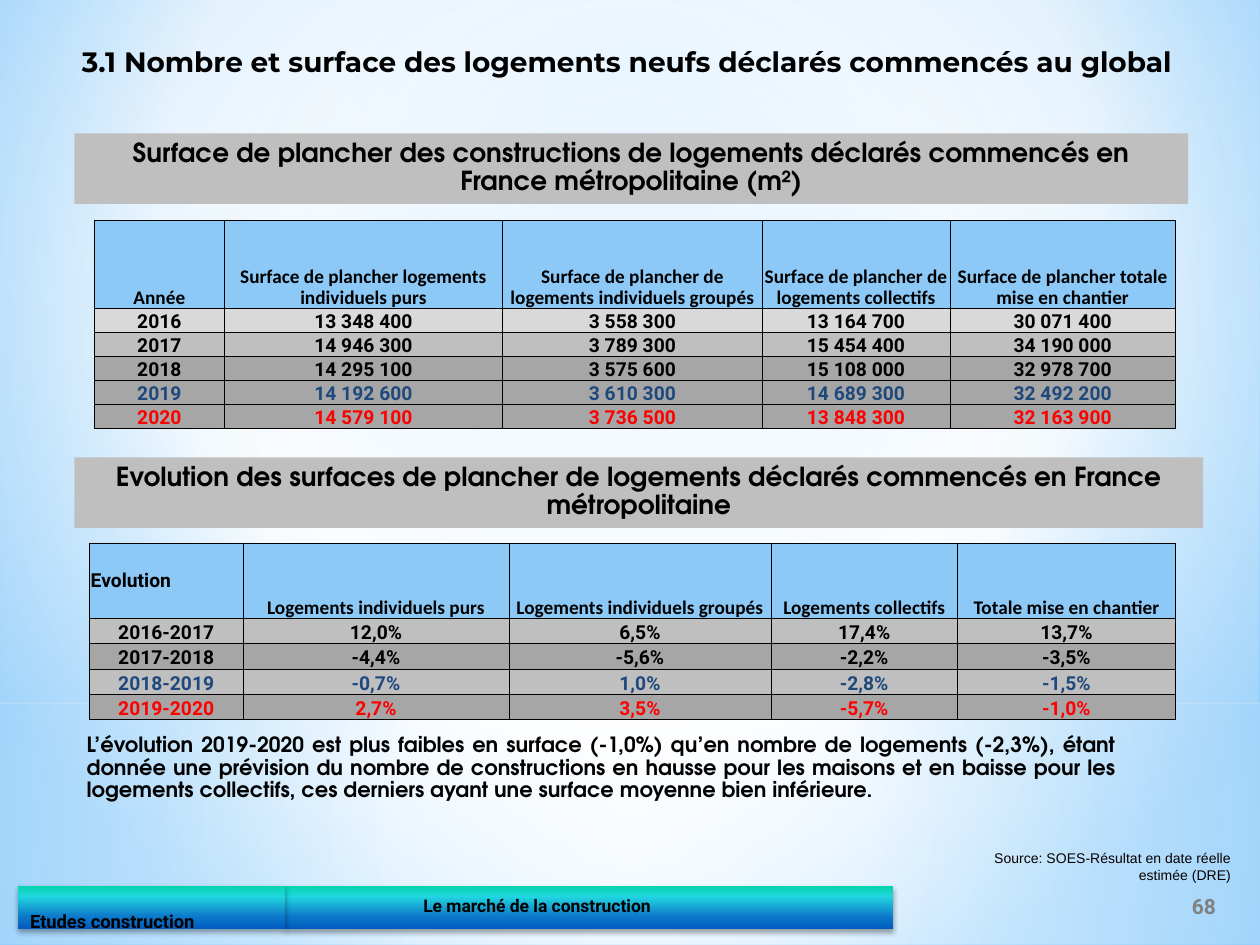
from lxml.etree import SubElement
from pptx import Presentation
from pptx.dml.color import RGBColor
from pptx.enum.shapes import MSO_SHAPE
from pptx.enum.text import MSO_ANCHOR, PP_ALIGN
from pptx.oxml import parse_xml
from pptx.oxml.ns import nsdecls, qn
from pptx.util import Inches, Pt

BLACK = RGBColor(0, 0, 0)
BLUE = RGBColor(0x1F, 0x49, 0x7D)
RED = RGBColor(0xFF, 0, 0)
GREY = RGBColor(0x80, 0x80, 0x80)
SOURCE_BLACK = RGBColor(0x08, 0, 0)
HEADER_FILL = RGBColor(0x8C, 0xC9, 0xF7)
LIGHT = RGBColor(0xD9, 0xD9, 0xD9)
MEDIUM = RGBColor(0xBF, 0xBF, 0xBF)
DARK = RGBColor(0xA6, 0xA6, 0xA6)
HEADING_FONT = "TeX Gyre Adventor"

TITLE = "3.1 Nombre et surface des logements neufs déclarés commencés au global"
BANDS = [
    ("Surface de plancher des constructions de logements déclarés commencés en "
     "France métropolitaine (m²)", 1.06, 8.84),
    ("Evolution des surfaces de plancher de logements déclarés commencés en "
     "France métropolitaine", 3.63, 8.96),
]
COMMENT = (
    "L’évolution 2019-2020 est plus faibles en surface (-1,0%) qu’en nombre de logements "
    "(-2,3%), étant donnée une prévision du nombre de constructions en hausse pour les "
    "maisons et en baisse pour les logements collectifs, ces derniers ayant une surface "
    "moyenne bien inférieure.")
SOURCE = "Source: SOES-Résultat en date réelle estimée (DRE)"
SLIDE_NUMBER = "68"

SURFACES = {
    "place": (0.75, 1.75),
    "columns": [1.03, 2.21, 2.06, 1.49, 1.79],
    "heights": (0.7, 0.19),
    "header": ["Année", "Surface de plancher logements individuels purs",
               "Surface de plancher de logements individuels groupés",
               "Surface de plancher de logements collectifs",
               "Surface de plancher totale mise en chantier"],
    "rows": [
        (["2016", "13 348 400", "3 558 300", "13 164 700", "30 071 400"], LIGHT, BLACK),
        (["2017", "14 946 300", "3 789 300", "15 454 400", "34 190 000"], MEDIUM, BLACK),
        (["2018", "14 295 100", "3 575 600", "15 108 000", "32 978 700"], DARK, BLACK),
        (["2019", "14 192 600", "3 610 300", "14 689 300", "32 492 200"], DARK, BLUE),
        (["2020", "14 579 100", "3 736 500", "13 848 300", "32 163 900"], DARK, RED),
    ],
}
EVOLUTION = {
    "place": (0.71, 4.31),
    "columns": [1.22, 2.11, 2.08, 1.48, 1.73],
    "heights": (0.6, 0.2),
    "header": ["Evolution", "Logements individuels purs", "Logements individuels groupés",
               "Logements collectifs", "Totale mise en chantier"],
    "rows": [
        (["2016-2017", "12,0%", "6,5%", "17,4%", "13,7%"], MEDIUM, BLACK),
        (["2017-2018", "-4,4%", "-5,6%", "-2,2%", "-3,5%"], DARK, BLACK),
        (["2018-2019", "-0,7%", "1,0%", "-2,8%", "-1,5%"], MEDIUM, BLUE),
        (["2019-2020", "2,7%", "3,5%", "-5,7%", "-1,0%"], DARK, RED),
    ],
}

# Gradient stops: position in %, colour, opacity in %
BACKGROUND_STOPS = [(0, "9ED5FF", 100), (60, "FFFFFF", 100), (100, "5BB9FF", 100)]
VEILS = [
    (5.58, 1.92, [(0, "FFFFFF", 91), (37, "FFFFFF", 76), (100, "B4DCFA", 79)]),
    (0, 5.58, [(0, "FFFFFF", 89), (48, "FFFFFF", 62), (100, "B4DCFA", 79)]),
]
FOOTER_STOPS = [(0, "03D4A8", 100), (25, "21D6E0", 100), (72, "0D79CA", 100),
                (100, "005CBF", 100)]
# Footer parts: text, left, width, size, left inset, top inset
FOOTERS = [
    ("Le marché de la construction", 2.26, 4.83, 10, 1.1, 0),
    ("Etudes construction", 0.14, 2.12, 10.5, 0.1, 0.24),
]


def apply_gradient(element, stops, center=None):
    """Swap the solid fill for a circular gradient, or a vertical one without center."""
    stop_xml = "".join(
        f'<a:gs pos="{position * 1000}"><a:srgbClr val="{color}">'
        f'<a:alpha val="{opacity * 1000}"/></a:srgbClr></a:gs>'
        for position, color, opacity in stops)
    if center:
        sides = " ".join(f'{side}="{value * 1000}"' for side, value in zip("ltrb", center))
        direction = f'<a:path path="circle"><a:fillToRect {sides}/></a:path>'
    else:
        direction = '<a:lin ang="5400000" scaled="0"/>'
    gradient = parse_xml(f'<a:gradFill {nsdecls("a")} rotWithShape="1">'
                         f'<a:gsLst>{stop_xml}</a:gsLst>{direction}</a:gradFill>')
    solid = element.find(".//" + qn("a:solidFill"))
    solid.getparent().replace(solid, gradient)


def add_shadow(shape):
    effects = shape.element.spPr.find(qn("a:effectLst"))
    effects.append(parse_xml(
        f'<a:outerShdw {nsdecls("a")} blurRad="{Pt(3.1)}" dist="{Pt(1.8)}" dir="5400000" '
        'rotWithShape="0"><a:srgbClr val="000000"><a:alpha val="35000"/></a:srgbClr>'
        '</a:outerShdw>'))


def write(frame, text, size, font, color=BLACK, align=PP_ALIGN.LEFT, bold=True, spacing=0.9):
    frame.text = text
    paragraph = frame.paragraphs[0]
    paragraph.alignment = align
    paragraph.line_spacing = spacing
    for run in paragraph.runs:
        run.font.size = Pt(size)
        run.font.name = font
        run.font.bold = bold
        run.font.color.rgb = color


def add_rectangle(slide, left, top, width, height, color):
    shape = slide.shapes.add_shape(MSO_SHAPE.RECTANGLE, Inches(left), Inches(top),
                                   Inches(width), Inches(height))
    shape.shadow.inherit = False
    shape.fill.solid()
    shape.fill.fore_color.rgb = color
    shape.line.fill.background()
    return shape


def add_text(slide, left, top, width, height, anchor=MSO_ANCHOR.TOP, wrap=True):
    box = slide.shapes.add_textbox(Inches(left), Inches(top), Inches(width), Inches(height))
    box.text_frame.word_wrap = wrap
    box.text_frame.vertical_anchor = anchor
    return box.text_frame


def format_cell(cell, text, fill, color, font):
    cell.margin_left = cell.margin_right = cell.margin_top = Inches(0.01)
    cell.margin_bottom = 0
    cell.vertical_anchor = MSO_ANCHOR.BOTTOM
    properties = cell._tc.get_or_add_tcPr()
    for side in ("lnL", "lnR", "lnT", "lnB"):
        line = SubElement(properties, qn(f"a:{side}"), w=str(Pt(0.5)))
        SubElement(SubElement(line, qn("a:solidFill")), qn("a:srgbClr"), val=str(BLACK))
    cell.fill.solid()
    cell.fill.fore_color.rgb = fill
    write(cell.text_frame, text, 11, font, color, PP_ALIGN.CENTER)


def add_data_table(slide, data):
    left, top = data["place"]
    header_height, row_height = data["heights"]
    columns, rows = data["columns"], data["rows"]
    height = header_height + row_height * len(rows)
    table = slide.shapes.add_table(len(rows) + 1, len(columns), Inches(left), Inches(top),
                                   Inches(sum(columns)), Inches(height)).table
    for column, width in zip(table.columns, columns):
        column.width = Inches(width)
    lines = [(data["header"], HEADER_FILL, BLACK)] + rows
    for index, (values, fill, color) in enumerate(lines):
        table.rows[index].height = Inches(row_height if index else header_height)
        for cell, value in zip(table.rows[index].cells, values):
            format_cell(cell, value, fill, color, "Roboto" if index else "Calibri")
    return table


def main():
    presentation = Presentation()
    presentation.slide_width, presentation.slide_height = Inches(10), Inches(7.5)
    slide = presentation.slides.add_slide(presentation.slide_layouts[5])
    slide.background.fill.solid()
    apply_gradient(slide.element, BACKGROUND_STOPS, (20, 10, 20, 60))

    title = slide.shapes.title
    for top, height, stops in VEILS:
        veil = add_rectangle(slide, 0, top, 10, height, LIGHT)
        apply_gradient(veil.element, stops, (50, 50, 50, 50))
        title.element.addprevious(veil.element)

    title.left, title.top = Inches(0.55), Inches(0.3)
    title.width, title.height = Inches(9.32), Inches(0.44)
    title.text_frame.vertical_anchor = MSO_ANCHOR.TOP
    write(title.text_frame, TITLE, 16, "Montserrat", spacing=1)

    for text, left, width, size, left_inset, top_inset in FOOTERS:
        footer = add_rectangle(slide, left, 7.03, width, 0.34, LIGHT)
        apply_gradient(footer.element, FOOTER_STOPS)
        add_shadow(footer)
        frame = footer.text_frame
        frame.margin_left, frame.margin_top = Inches(left_inset), Inches(top_inset)
        frame.margin_bottom = 0
        frame.vertical_anchor = MSO_ANCHOR.MIDDLE
        write(frame, text, size, "Roboto")

    for text, top, width in BANDS:
        band = add_rectangle(slide, 0.59, top, width, 0.56, MEDIUM)
        band.text_frame.vertical_anchor = MSO_ANCHOR.TOP
        write(band.text_frame, text, 15, HEADING_FONT, align=PP_ALIGN.CENTER)

    add_data_table(slide, SURFACES)
    corner = add_data_table(slide, EVOLUTION).cell(0, 0)
    corner.vertical_anchor = MSO_ANCHOR.MIDDLE
    write(corner.text_frame, corner.text_frame.text, 11, "Roboto")

    write(add_text(slide, 0.59, 5.78, 8.37, 0.65), COMMENT, 12, HEADING_FONT,
          align=PP_ALIGN.JUSTIFY)
    write(add_text(slide, 7.66, 6.72, 2.21, 0.31, MSO_ANCHOR.MIDDLE, wrap=False), SOURCE, 8,
          "Arial", SOURCE_BLACK, PP_ALIGN.RIGHT, bold=False, spacing=1)
    write(add_text(slide, 9.26, 6.99, 0.59, 0.4, MSO_ANCHOR.MIDDLE), SLIDE_NUMBER, 12,
          "Roboto", GREY, PP_ALIGN.CENTER, spacing=1)
    presentation.save("out.pptx")


if __name__ == "__main__":
    main()
